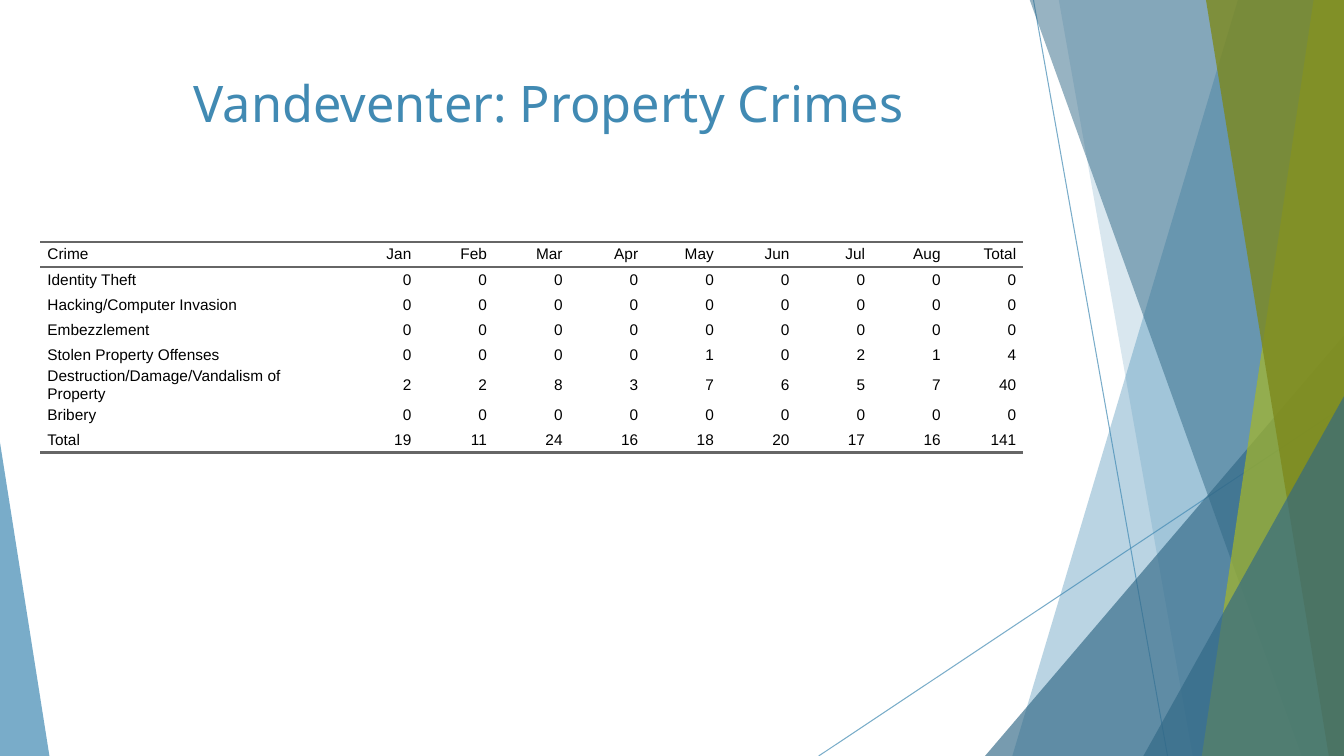
from dataclasses import dataclass

from lxml import etree
from pptx import Presentation
from pptx import util as u
from pptx.dml.color import RGBColor
from pptx.enum import shapes, text
from pptx.oxml import ns


@dataclass(frozen=True)
class Theme:
    blue: str = "418AB3"
    deep_blue: str = "316886"
    lime: str = "A6B727"
    olive: str = "7D891D"
    rule: str = "666666"
    ink: str = "000000"
    title_font: str = "Noto Sans"
    table_font: str = "Arial"
    title_size: int = 36
    table_size: int = 11
    hairline: float = 0.75
    rule_width: int = 2


theme = Theme()


def write(frame, words, font, size, color, align, space=0, margin=0):
    frame.word_wrap = True
    line = frame.paragraphs[0]
    line.alignment = align
    line.space_before = line.space_after = u.Pt(space)
    for side in ("marL", "marR"):
        line._p.get_or_add_pPr().set(side, str(u.Inches(margin)))
    run = line.add_run()
    run.text = words
    run.font.name, run.font.size = font, u.Pt(size)
    run.font.color.rgb = RGBColor.from_string(color)


def tint(fill, color, opacity):
    fill.solid()
    fill.fore_color.rgb = RGBColor.from_string(color)
    srgb = fill._xPr.find(".//" + ns.qn("a:srgbClr"))
    etree.SubElement(srgb, ns.qn("a:alpha"), val=str(opacity * 1000))


deck = Presentation()
deck.slide_width, deck.slide_height = u.Inches(13.33), u.Inches(7.5)
slide = deck.slides.add_slide(deck.slide_layouts[6])
right, top, bottom = 13.33, -0.01, 7.5

# Thin crossing lines
for ends in ((10.25, 0, 11.58, bottom), (right, 4.03, 8.12, bottom)):
    ray = slide.shapes.add_connector(shapes.MSO_CONNECTOR.STRAIGHT, *map(u.Inches, ends))
    ray.line.width = u.Pt(theme.hairline)
    tint(ray.line.fill, theme.blue, 70)
    etree.SubElement(ray._element.spPr, ns.qn("a:effectLst"))

# Facets, back to front: slabs have (top x, bottom x) and run to the right edge,
# triangles have (left, top, width, apex position)
facets = [
    ((12.28, 10.04), theme.blue, 36),
    ((10.5, 11.83), theme.blue, 20),
    ((9.77, 3.33, 3.56, 1), theme.deep_blue, 66),
    ((10.21, 12.91), theme.deep_blue, 50),
    ((13.03, 11.92), theme.lime, 70),
    ((11.96, 13.18), theme.olive, 80),
    ((11.34, 3.93, 1.99, 1), theme.deep_blue, 66),
    ((0, 4.39, 0.49, 0), theme.blue, 70),
]
for outline, color, opacity in facets:
    if len(outline) == 2:
        top_x, bottom_x = outline
        corners = [(right, top), (right, bottom), (bottom_x, bottom)]
        builder = slide.shapes.build_freeform(u.Inches(top_x), u.Inches(top))
        builder.add_line_segments([(u.Inches(x), u.Inches(y)) for x, y in corners])
        facet = builder.convert_to_shape()
    else:
        x, y, width, apex = outline
        facet = slide.shapes.add_shape(
            shapes.MSO_SHAPE.ISOSCELES_TRIANGLE,
            u.Inches(x), u.Inches(y), u.Inches(width), u.Inches(bottom - y))
        facet.adjustments[0] = apex
    facet.shadow.inherit = False
    facet.line.fill.background()
    tint(facet.fill, color, opacity)

# Crime table
months = ["Jan", "Feb", "Mar", "Apr", "May", "Jun", "Jul", "Aug"]
crimes = [
    ["Crime", *months, "Total"],
    ["Identity Theft", 0, 0, 0, 0, 0, 0, 0, 0, 0],
    ["Hacking/Computer Invasion", 0, 0, 0, 0, 0, 0, 0, 0, 0],
    ["Embezzlement", 0, 0, 0, 0, 0, 0, 0, 0, 0],
    ["Stolen Property Offenses", 0, 0, 0, 0, 1, 0, 2, 1, 4],
    ["Destruction/Damage/Vandalism of Property", 2, 2, 8, 3, 7, 6, 5, 7, 40],
    ["Bribery", 0, 0, 0, 0, 0, 0, 0, 0, 0],
    ["Total", 19, 11, 24, 16, 18, 20, 17, 16, 141],
]
row_height, name_width, count_width = 0.25, 3, 0.75
table = slide.shapes.add_table(
    len(crimes), len(crimes[0]), u.Inches(0.4), u.Inches(2.4),
    u.Inches(name_width + count_width * (len(crimes[0]) - 1)),
    u.Inches(row_height * len(crimes))).table
table.first_row = table.horz_banding = False
for c, column in enumerate(table.columns):
    column.width = u.Inches(count_width if c else name_width)

ruled_edges = {0, 1, len(crimes)}
for r, record in enumerate(crimes):
    table.rows[r].height = u.Inches(row_height)
    for c, value in enumerate(record):
        cell = table.cell(r, c)
        cell.margin_left = cell.margin_right = cell.margin_top = cell.margin_bottom = 0
        cell.vertical_anchor = text.MSO_ANCHOR.MIDDLE
        write(cell.text_frame, str(value), theme.table_font, theme.table_size, theme.ink,
              text.PP_ALIGN.RIGHT if c else text.PP_ALIGN.LEFT, space=5, margin=0.07)
        # Rules above and below the header and under the totals
        props = cell._tc.get_or_add_tcPr()
        for side, edge in (("L", None), ("R", None), ("T", r), ("B", r + 1)):
            border = etree.SubElement(props, ns.qn("a:ln" + side))
            if edge in ruled_edges:
                border.set("w", str(u.Pt(theme.rule_width)))
                paint = etree.SubElement(border, ns.qn("a:solidFill"))
                etree.SubElement(paint, ns.qn("a:srgbClr"), val=theme.rule)
            else:
                etree.SubElement(border, ns.qn("a:noFill"))
        cell.fill.background()

# Title
title = slide.shapes.add_textbox(u.Inches(0.74), u.Inches(0.67), u.Inches(9.4), u.Inches(1.44))
write(title.text_frame, "Vandeventer: Property Crimes", theme.title_font, theme.title_size,
      theme.blue, text.PP_ALIGN.CENTER)

deck.save("out.pptx")
